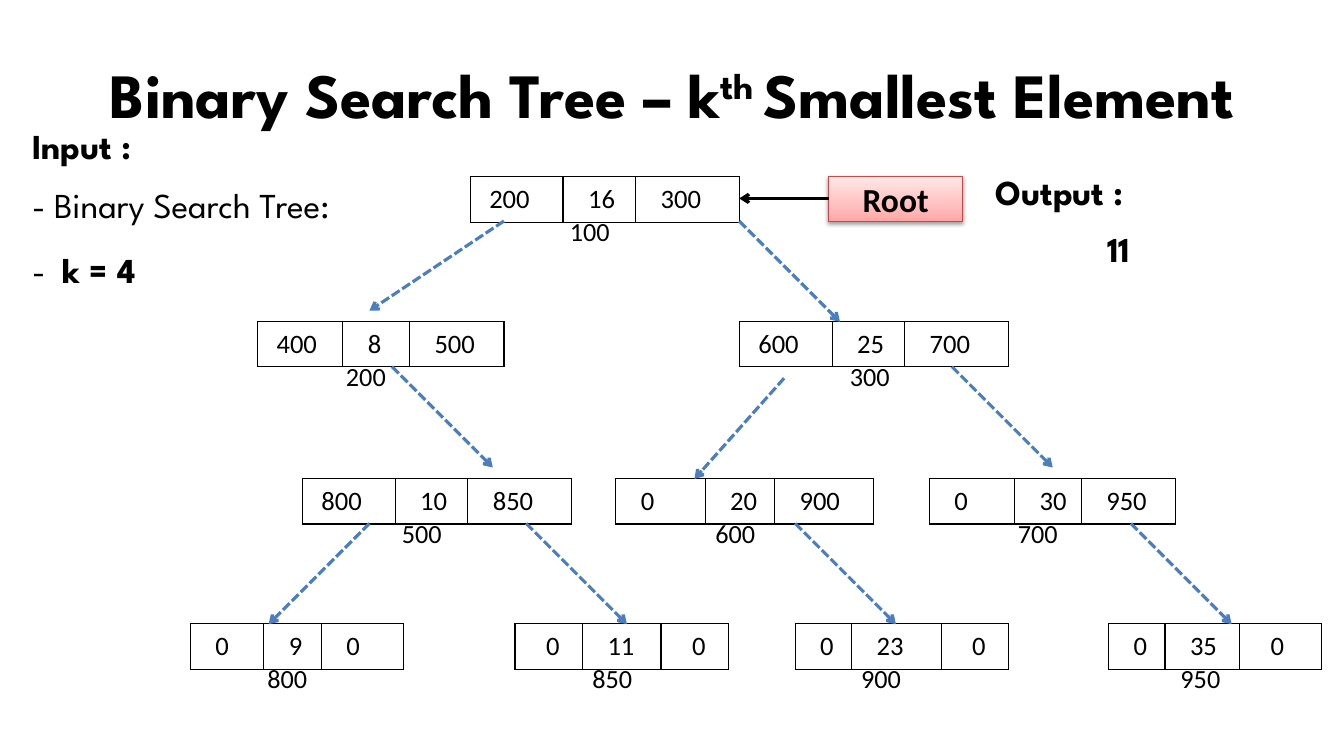
from dataclasses import dataclass

from pptx import Presentation, util as u
from pptx.dml.color import RGBColor
from pptx.enum import dml, shapes, text
from pptx.oxml import parse_xml
from pptx.oxml.ns import nsdecls


@dataclass(frozen=True)
class Theme:
    heading_font: str = "League Spartan"
    node_font: str = "Calibri"
    ink: str = "000000"
    edge: str = "4B7EBC"
    root_line: str = "BF4C48"
    root_stops: tuple = ((0, "FFA6A5"), (35, "FFC0BF"), (100, "FFE7E7"))
    title_size: float = 45
    note_size: float = 25
    root_size: float = 24
    cell_size: float = 19
    address_size: float = 18.7


def drawing(tag, attributes="", content=""):
    """Return one DrawingML element."""
    return parse_xml(f"<a:{tag} {nsdecls('a')} {attributes}>{content}</a:{tag}>")


def color_xml(color, content=""):
    return f'<a:srgbClr val="{color}">{content}</a:srgbClr>'


class TreeSlide:
    """Draws on one slide; all positions are centimetres."""

    row_height = 1.13
    cell_margin = 0.33
    space_width = 0.15

    def __init__(self, slide, theme):
        self.slide = slide
        self.theme = theme

    def format_run(self, run, font, size, bold=False):
        run.font.name = font
        run.font.size = u.Pt(size)
        run.font.bold = bold
        run.font.color.rgb = RGBColor.from_string(self.theme.ink)

    def text_box(self, left, top, width, height, words, font, size, bold=False):
        box = self.slide.shapes.add_textbox(*map(u.Cm, (left, top, width, height)))
        frame = box.text_frame
        frame.word_wrap = True
        frame.auto_size = text.MSO_AUTO_SIZE.SHAPE_TO_FIT_TEXT
        frame.text = words
        for run in frame.paragraphs[0].runs:
            self.format_run(run, font, size, bold)
        return frame

    def title(self, before, superscript, after):
        frame = self.text_box(1.7, 0.76, 30.48, 3.18, before,
                              self.theme.heading_font, self.theme.title_size, True)
        frame.auto_size = text.MSO_AUTO_SIZE.NONE
        frame.vertical_anchor = text.MSO_ANCHOR.MIDDLE
        paragraph = frame.paragraphs[0]
        paragraph.alignment = text.PP_ALIGN.CENTER
        for words, baseline in ((superscript, "30000"), (after, "0")):
            run = paragraph.add_run()
            run.text = words
            self.format_run(run, self.theme.heading_font, self.theme.title_size, True)
            run.font._element.set("baseline", baseline)

    def note(self, left, top, width, words, bold=False):
        return self.text_box(left, top, width, 1.32, words,
                             self.theme.heading_font, self.theme.note_size, bold)

    def tabbed_note(self, left, top, width, marker, words, tab):
        """Write a plain marker, then bold words at a tab stop."""
        paragraph = self.note(left, top, width, marker + "\t").paragraphs[0]
        run = paragraph.add_run()
        run.text = words
        self.format_run(run, self.theme.heading_font, self.theme.note_size, True)
        stop = f'<a:tab pos="{u.Cm(tab)}" algn="l"/>'
        paragraph._p.get_or_add_pPr().append(drawing("tabLst", content=stop))

    def node(self, left, top, widths, values, indents, address, address_left):
        """Draw left link, key and right link, with the node's address below."""
        frame = self.slide.shapes.add_table(
            1, len(widths), u.Cm(left), u.Cm(top), u.Cm(sum(widths)), u.Cm(self.row_height))
        table = frame.table
        table.first_row = table.horz_banding = False
        table.rows[0].height = u.Cm(self.row_height)
        for index, (width, value, indent) in enumerate(zip(widths, values, indents)):
            table.columns[index].width = u.Cm(width)
            self.node_cell(table.cell(0, index), value, indent)
        self.text_box(address_left, top + 0.85, 2, 1.07, address,
                      self.theme.node_font, self.theme.address_size)

    def node_cell(self, cell, value, indent):
        cell.text_frame.text = value
        self.format_run(cell.text_frame.paragraphs[0].runs[0],
                        self.theme.node_font, self.theme.cell_size)
        cell.margin_left = u.Cm(self.cell_margin + indent * self.space_width)
        cell.margin_right = u.Cm(self.cell_margin)
        cell.margin_top = cell.margin_bottom = u.Cm(0.17)
        cell.fill.background()
        paint = f"<a:solidFill>{color_xml(self.theme.ink)}</a:solidFill>"
        for position, side in enumerate(("lnL", "lnR", "lnT", "lnB")):
            cell._tc.get_or_add_tcPr().insert(
                position, drawing(side, f'w="{u.Pt(1)}"', paint))

    def arrow(self, start, end, color, dashed=False):
        line = self.slide.shapes.add_connector(
            shapes.MSO_CONNECTOR.STRAIGHT, *map(u.Cm, (*start, *end)))
        line.line.color.rgb = RGBColor.from_string(color)
        line.line.width = u.Pt(2.25)
        if dashed:
            line.line.dash_style = dml.MSO_LINE.SQUARE_DOT
        line.line._get_or_add_ln().append(drawing("tailEnd", 'type="arrow"'))
        line._element.spPr.append(drawing("effectLst"))

    def root_tag(self, left, top, width, height, words):
        tag = self.slide.shapes.add_shape(
            shapes.MSO_SHAPE.RECTANGLE, *map(u.Cm, (left, top, width, height)))
        stops = "".join(f'<a:gs pos="{position * 1000}">{color_xml(color)}</a:gs>'
                        for position, color in self.theme.root_stops)
        tag._element.spPr.prstGeom.addnext(drawing(
            "gradFill", 'rotWithShape="1"',
            f'<a:gsLst>{stops}</a:gsLst><a:lin ang="16200000" scaled="0"/>'))
        tag.line.color.rgb = RGBColor.from_string(self.theme.root_line)
        tag.line.width = u.Pt(0.75)
        tag.shadow.inherit = False
        tag._element.spPr[-1].append(drawing(
            "outerShdw",
            f'blurRad="{u.Pt(3.1)}" dist="{u.Pt(1.6)}" dir="5400000" rotWithShape="0"',
            color_xml(self.theme.ink, '<a:alpha val="38000"/>')))
        frame = tag.text_frame
        frame.text = words
        frame.vertical_anchor = text.MSO_ANCHOR.MIDDLE
        frame.paragraphs[0].alignment = text.PP_ALIGN.CENTER
        self.format_run(frame.paragraphs[0].runs[0],
                        self.theme.node_font, self.theme.root_size, True)


LEVELS = (4.45, 8.1, 12.06, 15.72)
WIDE = (2.34, 1.83, 2.62)
MEDIUM = (2.15, 1.68, 2.38)
LINKED = (1, 2, 2)
LEAF = (2, 2, 3)

# level, left, column widths, values, indents in spaces, address, address left
NODES = (
    (0, 11.85, WIDE, ("200", "16", "300"), LINKED, "100", 14.11),
    (1, 6.49, MEDIUM, ("400", "8", "500"), LINKED, "200", 8.47),
    (1, 18.63, WIDE, ("600", "25", "700"), LINKED, "300", 21.17),
    (2, 7.62, WIDE, ("800", "10", "850"), LINKED, "500", 9.88),
    (2, 15.52, (2.25, 1.75, 2.5), ("0", "20", "900"), (2, 2, 2), "600", 17.78),
    (2, 23.42, MEDIUM, ("0", "30", "950"), (2, 2, 2), "700", 25.4),
    (3, 4.8, (1.85, 1.45, 2.06), ("0", "9", "0"), (2, 2, 2), "800", 6.49),
    (3, 12.98, (1.7, 1.98, 1.7), ("0", "11", "0"), (3, 2, 3), "850", 14.68),
    (3, 20.04, (1.42, 2.26, 1.7), ("0", "23", "0"), LEAF, "900", 21.45),
    (3, 27.94, (1.42, 1.88, 2.06), ("0", "35", "0"), LEAF, "950", 29.5),
)

STEP = 2.54
# start x, start y, horizontal run, vertical run
EDGES = (
    (12.7, 5.57, -3.39, 2.26), (18.63, 5.57, STEP, STEP),
    (9.88, 9.24, STEP, STEP), (19.76, 9.53, -2.26, STEP), (23.99, 9.24, STEP, STEP),
    (9.31, 13.19, -STEP, STEP), (13.26, 13.19, STEP, STEP),
    (20.04, 13.19, STEP, STEP), (28.5, 13.19, STEP, STEP),
)


def main():
    presentation = Presentation()
    presentation.slide_width = u.Cm(33.87)
    presentation.slide_height = u.Cm(19.05)
    theme = Theme()
    tree = TreeSlide(presentation.slides.add_slide(presentation.slide_layouts[6]), theme)

    tree.title("Binary Search Tree – k", "th ", "Smallest Element")
    for level, left, *details in NODES:
        tree.node(left, LEVELS[level], *details)
    for x, y, run, drop in EDGES:
        tree.arrow((x, y), (x + run, y + drop), theme.edge, dashed=True)
    tree.root_tag(20.88, 4.45, 3.39, 1.13, "Root")
    tree.arrow((20.88, 5), (18.63, 5), theme.ink)

    tree.note(0.56, 3.02, 5.36, "Input :", bold=True)
    tree.note(0.56, 4.5, 9.32, "- Binary Search Tree:")
    tree.tabbed_note(0.56, 6.15, 9.04, "-", "k = 4", 0.77)
    tree.note(24.84, 4.17, 5.36, "Output :", bold=True)
    tree.note(27.66, 5.61, 1.98, "11", bold=True)
    presentation.save("out.pptx")


if __name__ == "__main__":
    main()
